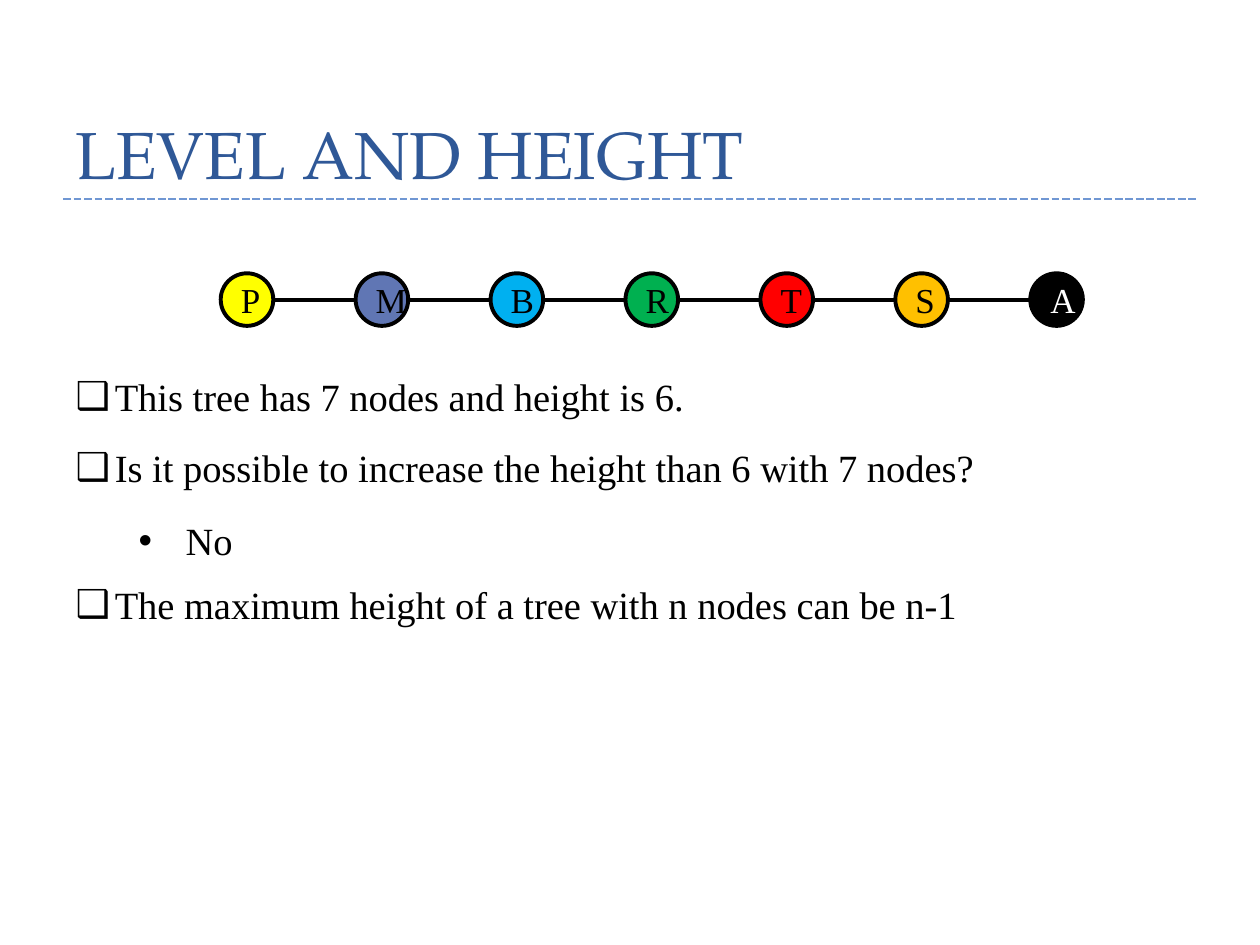
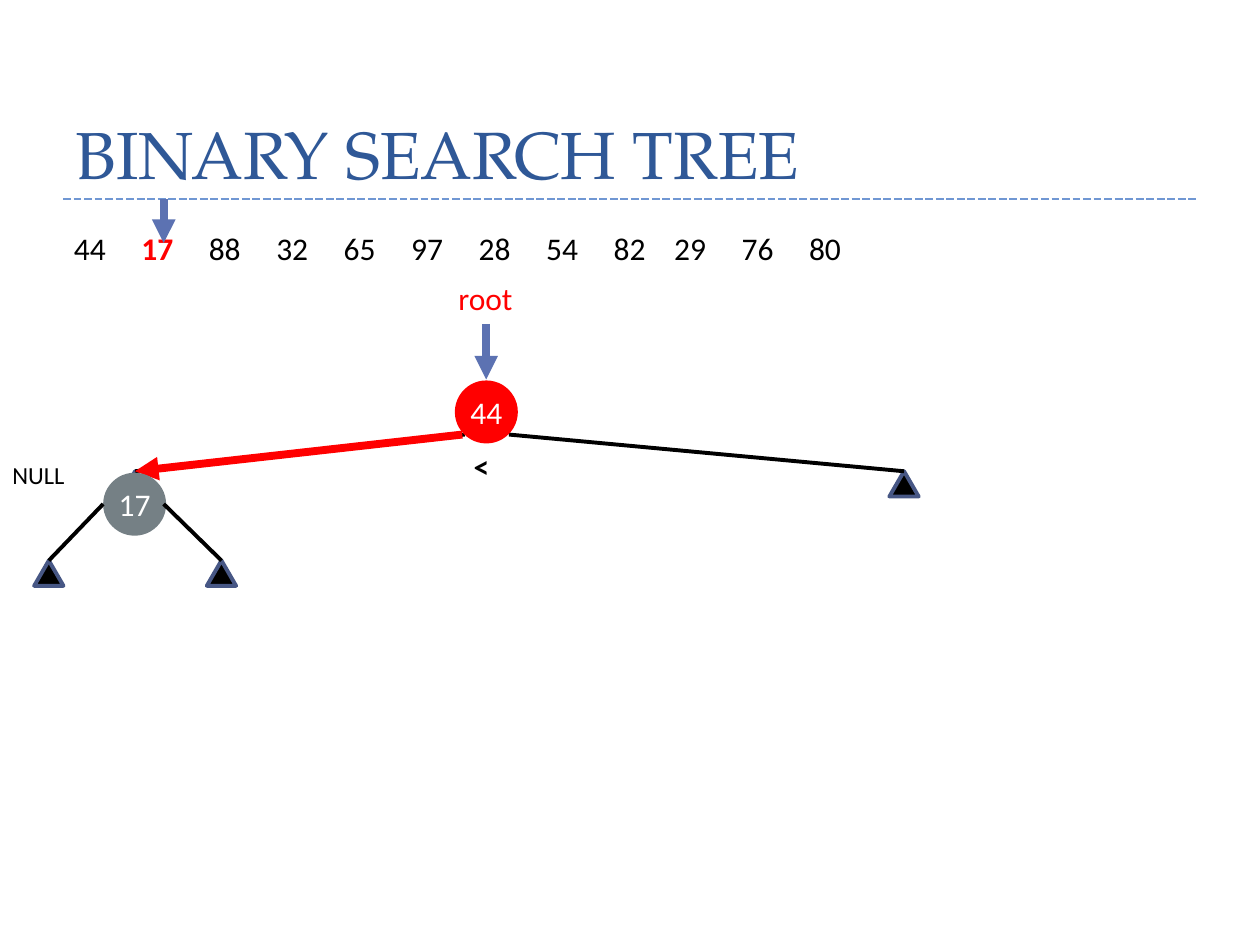
from dataclasses import dataclass
from typing import Optional

from lxml import etree
from pptx import Presentation
from pptx.dml import color
from pptx.enum import dml, shapes, text
from pptx.oxml import ns
from pptx.util import Cm, Pt


@dataclass(frozen=True)
class Theme:
    heading: str = "2F5897"
    rule: str = "7097D3"
    pointer: str = "5C72B2"
    leaf_edge: str = "475785"
    black: str = "000000"
    white: str = "FFFFFF"
    red: str = "FF0000"
    grey: str = "758085"
    title_font: str = "TeX Gyre Pagella"
    serif: str = "Times New Roman"
    sans: str = "Calibri"
    title_size: float = 38
    list_size: float = 22
    letter_size: float = 20
    label_size: float = 18
    small_size: float = 14
    edge_width: float = 2.25
    arrow_width: float = 4.5


THEME = Theme()


@dataclass(frozen=True)
class Node:
    label: str
    fill: str
    ink: str = THEME.black


@dataclass(frozen=True)
class Point:
    label: str
    bullet: str
    margin: float
    hanging: float
    gap: float


@dataclass(frozen=True)
class Label:
    label: str
    left: float
    top: float
    width: float
    height: float
    size: float = THEME.label_size
    ink: str = THEME.black
    bold: bool = False


CHAIN = [
    Node("P", "FFFF00"),
    Node("M", "6076B4"),
    Node("B", "00B0F0"),
    Node("R", "00B050"),
    Node("T", THEME.red),
    Node("S", "FFC000"),
    Node("A", THEME.black, THEME.white),
]
POINTS = [
    Point("This tree has 7 nodes and height is 6.", "❑", 0.79, 0.79, 0),
    Point("Is it possible to increase the height than 6 with 7 nodes?", "❑", 0.79, 0.79, 14.5),
    Point("No", "•", 2.22, 0.95, 15),
    Point("The maximum height of a tree with n nodes can be n-1", "❑", 0.79, 0.79, 10.5),
]
KEYS = [44, 17, 88, 32, 65, 97, 28, 54, 82, 29, 76, 80]
CURRENT_KEY = 17
LABELS = [
    Label("root", 8.99, 5.51, 1.63, 1.02, ink=THEME.red),
    Label("<", 9.3, 8.89, 0.94, 1.02, bold=True),
    Label("NULL", 0, 9.14, 1.98, 0.86, size=THEME.small_size),
]


def rgb(code: str) -> color.RGBColor:
    return color.RGBColor.from_string(code)


def write(paragraph, words: str, *, size: float, ink: str = THEME.black,
          font: str = THEME.sans, bold: bool = False, align=None) -> None:
    if align is not None:
        paragraph.alignment = align
    run = paragraph.add_run()
    run.text = words
    run.font.name = font
    run.font.size = Pt(size)
    run.font.bold = bold
    run.font.color.rgb = rgb(ink)


def place(shape, left: float, top: float, width: float, height: float) -> None:
    shape.left, shape.top = Cm(left), Cm(top)
    shape.width, shape.height = Cm(width), Cm(height)


def draw_line(slide, start: tuple, end: tuple, ink: str = THEME.black,
              width: float = THEME.edge_width, dash=None, arrow: bool = False):
    line = slide.shapes.add_connector(
        shapes.MSO_CONNECTOR.STRAIGHT, *(Cm(v) for v in (*start, *end)))
    line.line.color.rgb = rgb(ink)
    line.line.width = Pt(width)
    if dash is not None:
        line.line.dash_style = dash
    properties = line._element.spPr
    if arrow:
        etree.SubElement(properties.find(ns.qn("a:ln")), ns.qn("a:tailEnd"), type="triangle")
    etree.SubElement(properties, ns.qn("a:effectLst"))
    return line


def draw_shape(slide, kind, left: float, top: float, width: float, height: float,
               fill: str, edge: Optional[str] = None):
    shape = slide.shapes.add_shape(kind, Cm(left), Cm(top), Cm(width), Cm(height))
    shape.shadow.inherit = False
    shape.fill.solid()
    shape.fill.fore_color.rgb = rgb(fill)
    if edge is None:
        shape.line.fill.background()
    else:
        shape.line.color.rgb = rgb(edge)
        shape.line.width = Pt(THEME.edge_width)
    return shape


def draw_label(slide, label: Label) -> None:
    box = slide.shapes.add_textbox(
        Cm(label.left), Cm(label.top), Cm(label.width), Cm(label.height))
    box.text_frame.word_wrap = False
    write(box.text_frame.paragraphs[0], label.label,
          size=label.size, ink=label.ink, bold=label.bold)


def draw_key(slide, key: int, left: float, top: float, fill: str) -> None:
    circle = draw_shape(slide, shapes.MSO_SHAPE.OVAL, left, top, 1.27, 1.27, fill)
    frame = circle.text_frame
    frame.margin_left = frame.margin_right = frame.margin_top = frame.margin_bottom = 0
    frame.word_wrap = False
    frame.vertical_anchor = text.MSO_ANCHOR.MIDDLE
    write(frame.paragraphs[0], str(key), size=THEME.label_size,
          ink=THEME.white, align=text.PP_ALIGN.CENTER)


def draw_leaf(slide, left: float, top: float):
    return draw_shape(slide, shapes.MSO_SHAPE.ISOSCELES_TRIANGLE, left, top, 0.59, 0.51,
                      THEME.black, THEME.leaf_edge)


def draw_branch(slide, start: tuple, leaf) -> None:
    draw_line(slide, start, start).end_connect(leaf, 0)


def add_slide(deck, layout: int, heading: str):
    slide = deck.slides.add_slide(deck.slide_layouts[layout])
    draw_line(slide, (1.27, 4.01), (24.13, 4.01), THEME.rule, 1.5, dml.MSO_LINE.SQUARE_DOT)
    title = slide.shapes.title
    place(title, 1.27, -0.43, 22.86, 4.45)
    frame = title.text_frame
    frame.auto_size = text.MSO_AUTO_SIZE.NONE
    frame.vertical_anchor = text.MSO_ANCHOR.BOTTOM
    frame.paragraphs[0].line_spacing = Pt(58)
    write(frame.paragraphs[0], heading, size=THEME.title_size, ink=THEME.heading,
          font=THEME.title_font, align=text.PP_ALIGN.LEFT)
    return slide


def draw_points(body) -> None:
    place(body, 1.27, 7.39, 23.5, 5.28)
    frame = body.text_frame
    frame.auto_size = text.MSO_AUTO_SIZE.NONE
    frame.vertical_anchor = text.MSO_ANCHOR.TOP
    for index, point in enumerate(POINTS):
        paragraph = frame.add_paragraph() if index else frame.paragraphs[0]
        properties = paragraph._p.get_or_add_pPr()
        properties.set("marL", str(Cm(point.margin)))
        properties.set("indent", str(-Cm(point.hanging)))
        etree.SubElement(properties, ns.qn("a:buChar"), char=point.bullet)
        paragraph.space_before = Pt(point.gap)
        write(paragraph, point.label, size=THEME.list_size, font=THEME.serif,
              align=text.PP_ALIGN.JUSTIFY)


def draw_chain(slide) -> None:
    first, top, pitch, size = 4.45, 5.51, 2.72, 1.06
    middle = top + size / 2
    for index, node in enumerate(CHAIN):
        left = first + index * pitch
        circle = draw_shape(slide, shapes.MSO_SHAPE.OVAL, left, top, size, size,
                            node.fill, THEME.black)
        circle.text_frame.vertical_anchor = text.MSO_ANCHOR.MIDDLE
        write(circle.text_frame.paragraphs[0], node.label, size=THEME.letter_size,
              ink=node.ink, font=THEME.serif, align=text.PP_ALIGN.CENTER)
        if index:
            draw_line(slide, (left - pitch + size, middle), (left, middle))


def draw_key_row(slide) -> None:
    row = slide.shapes.add_textbox(Cm(1.24), Cm(4.5), Cm(17.22), Cm(1.02))
    row.text_frame.word_wrap = True
    paragraph = row.text_frame.paragraphs[0]
    stops = etree.SubElement(paragraph._p.get_or_add_pPr(), ns.qn("a:tabLst"))
    for index in range(1, len(KEYS)):
        shift = 0.14 if index > 8 else 0
        etree.SubElement(stops, ns.qn("a:tab"), pos=str(Cm(1.36 * index - shift)), algn="l")
    for index, key in enumerate(KEYS):
        current = key == CURRENT_KEY
        write(paragraph, f"\t{key}" if index else str(key), size=THEME.label_size,
              ink=THEME.red if current else THEME.black, bold=current)


def draw_search_tree(slide) -> None:
    for x, top, bottom in ((3.3, 4.01, 4.9), (9.8, 6.53, 7.65)):
        draw_line(slide, (x, top), (x, bottom), THEME.pointer, THEME.arrow_width, arrow=True)
    for start, left in (((9.37, 8.76), 2.43), ((10.26, 8.76), 17.93)):
        draw_branch(slide, start, draw_leaf(slide, left, 9.5))
    draw_key(slide, 44, 9.17, 7.67, THEME.red)
    draw_line(slide, (9.32, 8.76), (2.72, 9.5), THEME.red, THEME.arrow_width, arrow=True)
    draw_key(slide, CURRENT_KEY, 2.08, 9.53, THEME.grey)
    for start, left in (((2.08, 10.16), 0.69), ((3.3, 10.16), 4.17)):
        draw_branch(slide, start, draw_leaf(slide, left, 11.3))


def main() -> None:
    deck = Presentation()
    deck.slide_width, deck.slide_height = Cm(25.4), Cm(19.05)

    height_slide = add_slide(deck, 1, "LEVEL AND HEIGHT")
    draw_points(height_slide.placeholders[1])
    draw_chain(height_slide)

    search_slide = add_slide(deck, 5, "BINARY SEARCH TREE")
    draw_key_row(search_slide)
    draw_search_tree(search_slide)
    for label in LABELS:
        draw_label(search_slide, label)

    deck.save("out.pptx")


if __name__ == "__main__":
    main()
